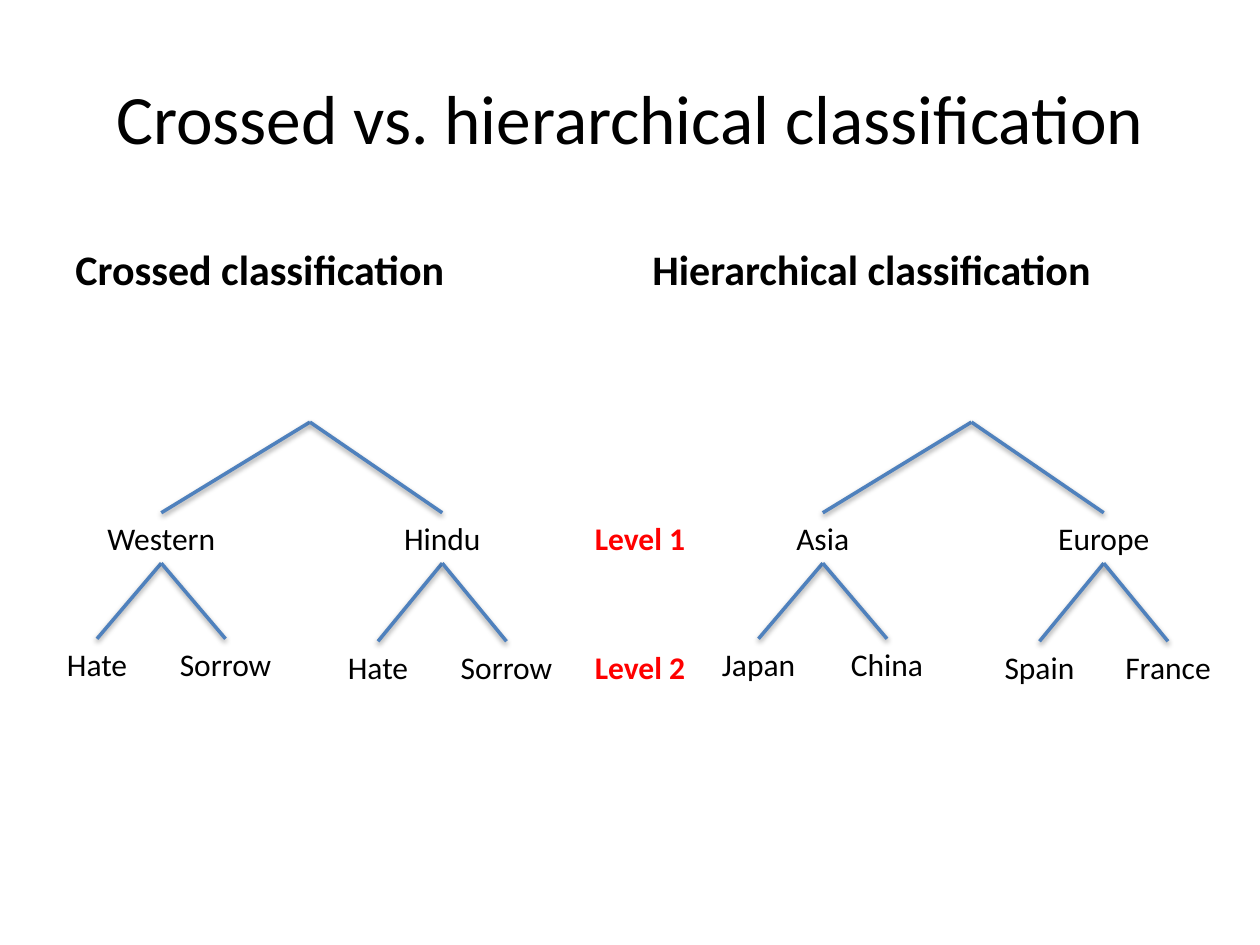
from pptx import Presentation
from pptx.dml.color import RGBColor
from pptx.enum.shapes import MSO_CONNECTOR
from pptx.enum.text import MSO_ANCHOR, PP_ALIGN
from pptx.util import Inches, Pt

COLORS = {"text": "000000", "level": "FF0000", "branch": "4F81BD"}
FONT = "Calibri"

# Content: every label is (text, box width)
TITLE = "Crossed vs. hierarchical classification"
HEADINGS = [("Crossed classification", 0.5), ("Hierarchical classification", 5.08)]
HATE, SORROW = ("Hate", 0.69), ("Sorrow", 0.94)
TREES = [
    (2.46, [(("Western", 1.08), [HATE, SORROW]),
            (("Hindu", 0.81), [HATE, SORROW])]),
    (7.71, [(("Asia", 0.63), [("Japan", 0.79), ("China", 0.78)]),
            (("Europe", 0.94), [("Spain", 0.76), ("France", 0.89)])]),
]

# Tree geometry
ROOT_TOP, NODE_TOP, LABEL_HEIGHT = 3.35, 4.07, 0.4
NODE_OFFSETS = (-1.18, 1.05)
LEAF_TOPS = (5.07, 5.09)
LEAF_OFFSETS = (-0.51, 0.51)
LEVELS = [("Level 1", NODE_TOP), ("Level 2", LEAF_TOPS[1])]
LEVEL_CENTER, LEVEL_WIDTH = 5.08, 0.93

presentation = Presentation()
presentation.slide_width, presentation.slide_height = Inches(10), Inches(7.5)
slide = presentation.slides.add_slide(presentation.slide_layouts[6])


def add_text(text, left, top, width, height, size, color="text", bold=False,
             align=PP_ALIGN.CENTER, anchor=MSO_ANCHOR.TOP, wrap=True):
    box = slide.shapes.add_textbox(*map(Inches, (left, top, width, height)))
    frame = box.text_frame
    frame.text = text
    frame.word_wrap = wrap
    frame.vertical_anchor = anchor
    paragraph = frame.paragraphs[0]
    paragraph.alignment = align
    font = paragraph.runs[0].font
    font.name, font.size, font.bold = FONT, Pt(size), bold
    font.color.rgb = RGBColor.from_string(COLORS[color])


def add_label(text, width, center, top, **style):
    add_text(text, center - width / 2, top, width, LABEL_HEIGHT, 18,
             wrap=False, **style)


def add_branch(start, end):
    # The theme's soft connector shadow is kept
    branch = slide.shapes.add_connector(
        MSO_CONNECTOR.STRAIGHT, *map(Inches, (*start, *end)))
    branch.line.color.rgb = RGBColor.from_string(COLORS["branch"])
    branch.line.width = Pt(2)


# Title and column headings
add_text(TITLE, 0.5, 0.3, 9, 1.25, 39.6, anchor=MSO_ANCHOR.MIDDLE)
for heading, left in HEADINGS:
    add_text(heading, left, 1.68, 4.42, 0.7, 24, bold=True,
             align=PP_ALIGN.LEFT, anchor=MSO_ANCHOR.BOTTOM)

# Trees: root, two nodes, two leaves under each node
for root, nodes in TREES:
    for (node, leaves), node_offset, leaf_top in zip(nodes, NODE_OFFSETS, LEAF_TOPS):
        center = root + node_offset
        add_label(*node, center, NODE_TOP)
        add_branch((center, NODE_TOP), (root, ROOT_TOP))
        for leaf, leaf_offset in zip(leaves, LEAF_OFFSETS):
            leaf_center = center + leaf_offset
            add_label(*leaf, leaf_center, leaf_top)
            add_branch((center, NODE_TOP + LABEL_HEIGHT), (leaf_center, leaf_top))

# Level names between the trees
for level, top in LEVELS:
    add_label(level, LEVEL_WIDTH, LEVEL_CENTER, top, color="level", bold=True)

presentation.save("out.pptx")
